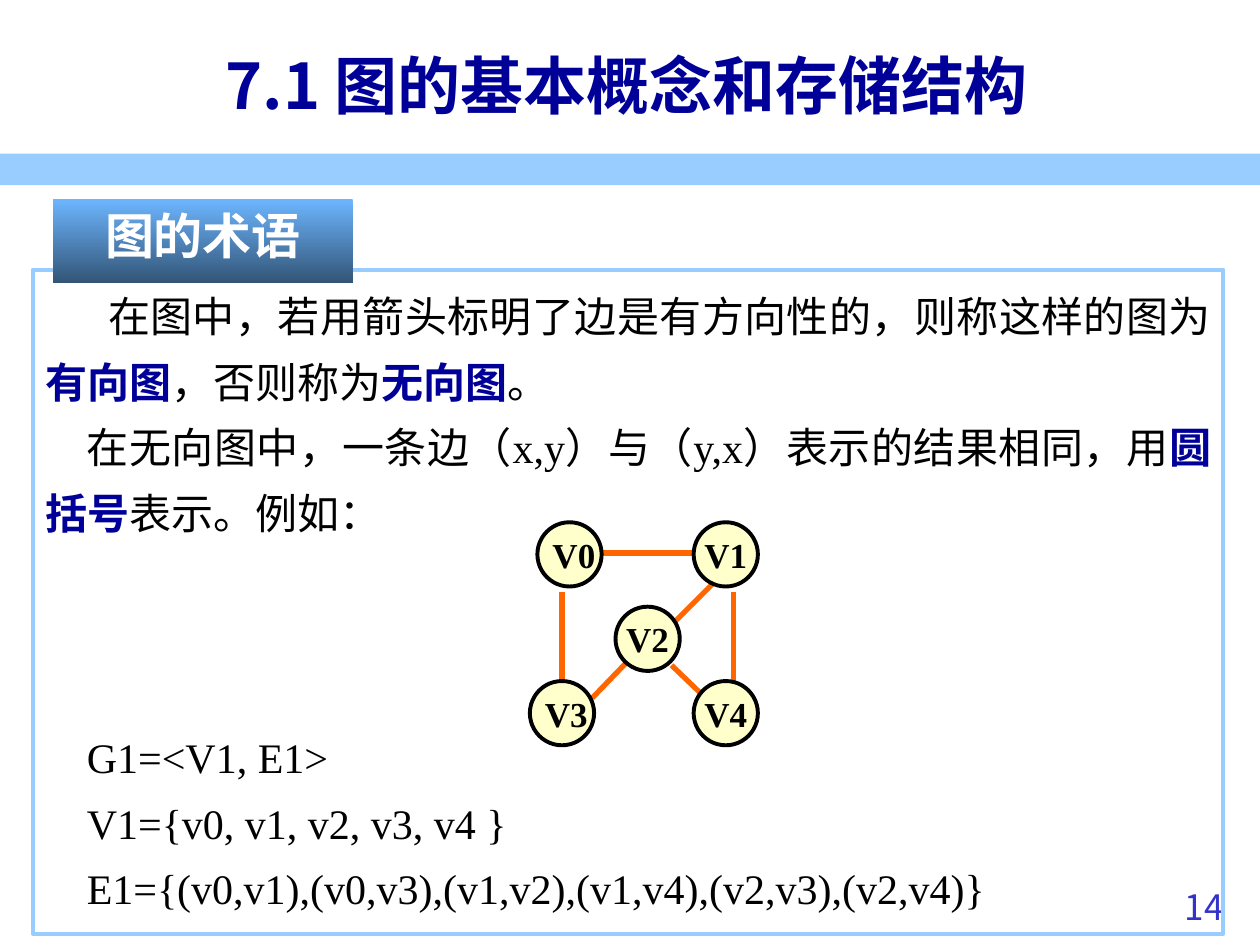
from pptx import Presentation
from pptx.dml.color import RGBColor
from pptx.enum.shapes import MSO_CONNECTOR as Connector, MSO_SHAPE as Shape
from pptx.enum.text import MSO_ANCHOR as Anchor, MSO_AUTO_SIZE as AutoSize, PP_ALIGN as Align
from pptx.oxml.ns import qn
from pptx.util import Inches, Pt
from lxml.etree import SubElement

COLORS = {"band": "99CCFF", "navy": "000099", "number": "3333CC", "black": "000000",
          "white": "FFFFFF", "edge": "FF6600", "node": "FFFFCC",
          "tab_top": "6DB6FF", "tab_bottom": "325476"}
SANS, SERIF = "Noto Sans CJK SC", "Times New Roman"

TITLE = "7.1 图的基本概念和存储结构"
HEADING = "图的术语"
PAGE_NUMBER = "14"
DEFINITIONS = [
    (0.5, [("在图中，若用箭头标明了边是有方向性的，则称这样的图为", False), ("有向图", True),
           ("，否则称为", False), ("无向图", True), ("。", False)]),
    (0.33, [("在无向图中，一条边（x,y）与（y,x）表示的结果相同，用", False),
            ("圆括号", True), ("表示。例如：", False)]),
]
FORMULAS = ["G1=<V1, E1>", "V1={v0, v1, v2, v3, v4 }",
            "E1={(v0,v1),(v0,v3),(v1,v2),(v1,v4),(v2,v3),(v2,v4)}"]
NODE_SIZE = 0.51
NODES = [("V0", 4.52, 4.4, 0.07), ("V4", 5.76, 5.66, 0), ("V3", 4.46, 5.66, 0.07),
         ("V1", 5.76, 4.4, 0), ("V2", 5.14, 5.07, 0)]
EDGES = [(4.46, 4.7, 4.46, 5.42), (4.76, 4.39, 5.59, 4.39), (5.82, 4.7, 5.82, 5.42),
         (4.99, 5.24, 4.7, 5.54), (5.65, 4.64, 5.35, 4.94), (5.33, 5.28, 5.59, 5.53)]


def color(name):
    """Return the named colour."""
    return RGBColor.from_string(COLORS[name])


def add_text(para, text, size=24, font=SERIF, east=SANS, ink="black", bold=False,
             align=None, spacing=None, indent=None):
    """Add a formatted span to a paragraph."""
    if align is not None:
        para.alignment = align
    if spacing:
        para.line_spacing = spacing
    if indent:
        para._p.get_or_add_pPr().set("indent", str(Inches(indent)))
    span = para.add_run()
    span.text = text
    span.font.size, span.font.name, span.font.bold = Pt(size), font, bold
    span.font.color.rgb = color(ink)
    SubElement(span._r.get_or_add_rPr(), qn("a:ea"), typeface=east)


def add_box(shapes, kind, place, fill=None, line=None):
    """Add a preset shape with a plain fill and outline."""
    box = shapes.add_shape(kind, *map(Inches, place))
    box.shadow.inherit = False
    if fill:
        box.fill.solid()
        box.fill.fore_color.rgb = color(fill)
    else:
        box.fill.background()
    if line:
        box.line.color.rgb = color(line)
        box.line.width = Pt(2.25)
    else:
        box.line.fill.background()
    box.text_frame.vertical_anchor = Anchor.TOP
    return box


def add_paras(frame, count):
    """Return the given number of paragraphs in a text frame."""
    return [frame.paragraphs[0]] + [frame.add_paragraph() for _ in range(count - 1)]


def add_edge(shapes, ends):
    """Add one edge of the graph."""
    edge = shapes.add_connector(Connector.STRAIGHT, *map(Inches, ends))
    edge.line.color.rgb = color("edge")
    edge.line.width = Pt(3)
    SubElement(edge._element.spPr, qn("a:effectLst"))


def add_node(shapes, name, x, y, inset):
    """Add one labelled node around its centre."""
    half = NODE_SIZE / 2
    node = add_box(shapes, Shape.OVAL, (x - half, y - half, NODE_SIZE, NODE_SIZE), "node", "black")
    frame = node.text_frame
    frame.word_wrap = False
    frame.vertical_anchor = Anchor.MIDDLE
    frame.margin_left = Inches(inset)
    frame.margin_right = frame.margin_top = frame.margin_bottom = 0
    add_text(frame.paragraphs[0], name, size=20, bold=True, align=Align.CENTER)


def main():
    """Build the slide."""
    deck = Presentation()
    deck.slide_width, deck.slide_height = Inches(10), Inches(7.5)
    page = deck.slides.add_slide(deck.slide_layouts[5])
    shapes = page.shapes

    title = shapes.title
    title.left, title.top, title.width, title.height = map(Inches, (1.69, 0.21, 8.19, 0.92))
    title.text_frame.auto_size = AutoSize.NONE
    title.text_frame.vertical_anchor = Anchor.MIDDLE
    add_text(title.text_frame.paragraphs[0], TITLE, size=36, font=SANS, ink="navy",
             bold=True, align=Align.LEFT)

    add_box(shapes, Shape.RECTANGLE, (0, 1.22, 10, 0.25), "band")

    number = shapes.add_textbox(*map(Inches, (8.86, 6.98, 0.95, 0.52))).text_frame
    number.word_wrap = True
    add_text(number.paragraphs[0], PAGE_NUMBER, size=20, font="Noto Sans CJK KR",
             ink="number", align=Align.RIGHT)

    formulas = shapes.add_textbox(*map(Inches, (0.59, 5.64, 9.22, 1.66))).text_frame
    formulas.word_wrap = True
    for para, text in zip(add_paras(formulas, len(FORMULAS)), FORMULAS):
        add_text(para, text, align=Align.JUSTIFY, spacing=1.3)

    graph = shapes.add_group_shape().shapes
    for ends in EDGES:
        add_edge(graph, ends)
    for node in NODES:
        add_node(graph, *node)

    panel = add_box(shapes, Shape.RECTANGLE, (0.26, 2.14, 9.45, 5.27), line="band").text_frame
    panel.word_wrap = True
    for para, (indent, spans) in zip(add_paras(panel, len(DEFINITIONS)), DEFINITIONS):
        for text, key in spans:
            add_text(para, text, ink="navy" if key else "black", bold=key,
                     align=Align.JUSTIFY, spacing=1.3, indent=indent)

    tab = add_box(shapes, Shape.RECTANGLE, (0.42, 1.58, 2.38, 0.67))
    tab.fill.gradient()
    tab.fill.gradient_angle = 270
    for stop, name in zip(tab.fill.gradient_stops, ("tab_top", "tab_bottom")):
        stop.color.rgb = color(name)
    add_text(tab.text_frame.paragraphs[0], HEADING, size=28, font=SANS, ink="white",
             bold=True, align=Align.CENTER)

    deck.save("out.pptx")


if __name__ == "__main__":
    main()
